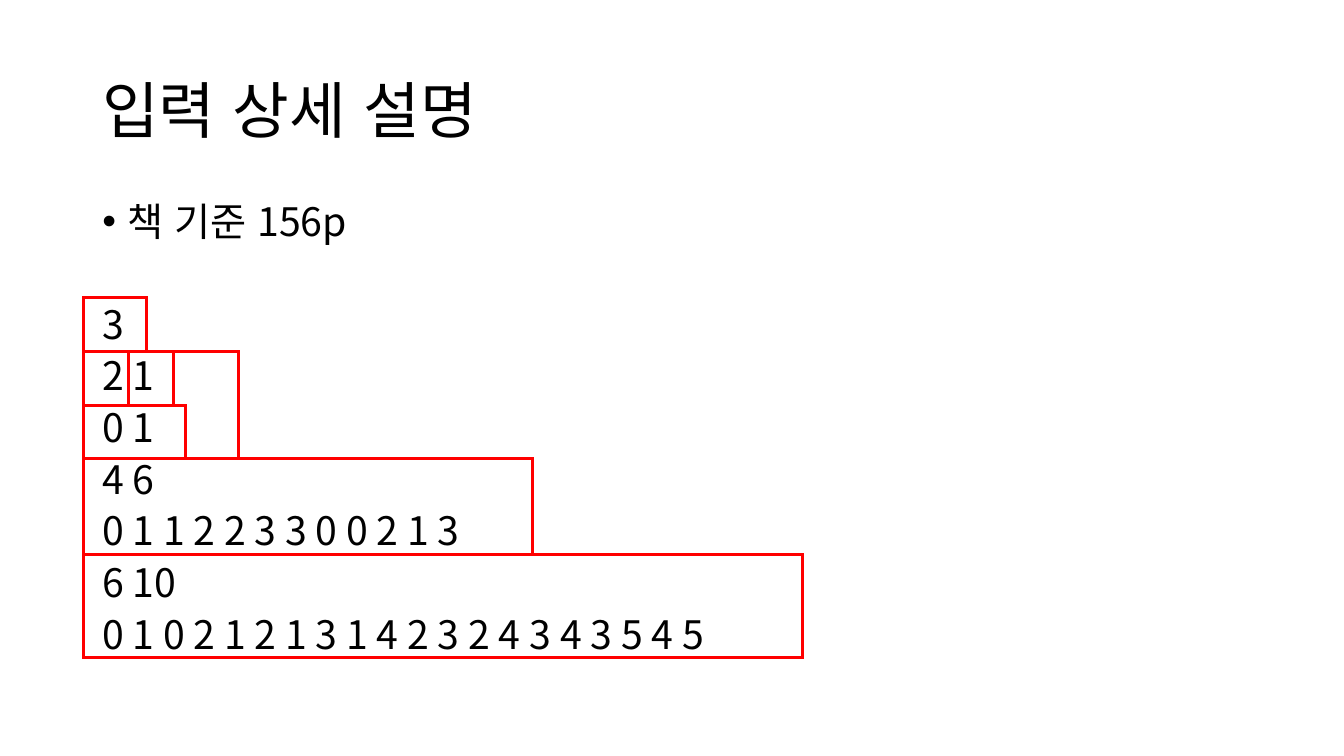
from lxml import etree
from pptx import Presentation
from pptx.dml.color import RGBColor
from pptx.enum.lang import MSO_LANGUAGE_ID
from pptx.enum.shapes import MSO_SHAPE
from pptx.enum.text import MSO_ANCHOR
from pptx.oxml.ns import qn
from pptx.util import Pt

RECT = MSO_SHAPE.RECTANGLE
TOP, MIDDLE = MSO_ANCHOR.TOP, MSO_ANCHOR.MIDDLE
KOREAN = MSO_LANGUAGE_ID.KOREAN

TITLE = "입력 상세 설명"
REFERENCE = "책 기준 156p"
INPUT_LINES = [
    "3",
    "2 1",
    "0 1",
    "4 6",
    "0 1 1 2 2 3 3 0 0 2 1 3",
    "6 10",
    "0 1 0 2 1 2 1 3 1 4 2 3 2 4 3 4 3 5 4 5",
]

THEME = {
    "font": "Noto Sans CJK KR",
    "text": RGBColor(0, 0, 0),
    "mark": RGBColor(255, 0, 0),
    "title": 44,
    "body": 28,
    "line": 2.25,
}

LEFT, WIDTH = 66, 828
LINE_SPACING, GAP, PITCH = 0.8, 10, 36.4
INDENT = 18

ROW_EDGES = [212.4, 251.1, 289.4, 327.6, 396, 469.4]
MARK_LEFT, CELL = 59.4, 32.2
MARKS = [
    (0, 1, 0, 45.4),
    (1, 2, 0, CELL),
    (1, 2, CELL, CELL),
    (2, 3, 0, 73.4),
    (3, 4, 0, 321.1),
    (4, 5, 0, 514.1),
    (1, 3, 0, 110.9),
]


def add_text_box(slide, top, height, anchor):
    sp = slide.shapes.add_textbox(Pt(LEFT), Pt(top), Pt(WIDTH), Pt(height))
    tf = sp.text_frame
    tf.word_wrap = True
    tf.vertical_anchor = anchor
    return tf


def write(p, text, size, **spacing):
    for name, value in spacing.items():
        setattr(p, name, value)
    r = p.add_run()
    r.text = text
    r.font.color.rgb = THEME["text"]
    style = {"name": THEME["font"], "size": Pt(size), "language_id": KOREAN}
    for name, value in style.items():
        setattr(r.font, name, value)
    rPr = r.font._element
    rPr.set("kern", "1200")
    etree.SubElement(rPr, qn("a:ea"), typeface=THEME["font"])


def add_bullet(p):
    pPr = p._p.get_or_add_pPr()
    pPr.set("marL", str(Pt(INDENT)))
    pPr.set("indent", str(-Pt(INDENT)))
    etree.SubElement(pPr, qn("a:buFont"), typeface="Arial")
    etree.SubElement(pPr, qn("a:buChar"), char="•")


def add_mark(slide, first, last, offset, width):
    top, bottom = ROW_EDGES[first], ROW_EDGES[last]
    sp = slide.shapes.add_shape(
        RECT, Pt(MARK_LEFT + offset), Pt(top), Pt(width), Pt(bottom - top))
    sp.shadow.inherit = False
    sp.fill.background()
    sp.line.color.rgb = THEME["mark"]
    sp.line.width = Pt(THEME["line"])
    etree.SubElement(sp.line._get_or_add_ln(), qn("a:miter"), lim="800000")


prs = Presentation()
prs.slide_width, prs.slide_height = Pt(960), Pt(540)
slide = prs.slides.add_slide(prs.slide_layouts[6])

tf = add_text_box(slide, 28.8, 104.4, MIDDLE)
write(tf.paragraphs[0], TITLE, THEME["title"], line_spacing=0.9)

tf = add_text_box(slide, 144, 342.7, TOP)
p = tf.paragraphs[0]
write(p, REFERENCE, THEME["body"], line_spacing=LINE_SPACING)
add_bullet(p)
for i, text in enumerate(INPUT_LINES):
    before = GAP if i else GAP + PITCH
    write(tf.add_paragraph(), text, THEME["body"],
          line_spacing=LINE_SPACING, space_before=Pt(before))

for mark in MARKS:
    add_mark(slide, *mark)

prs.save("out.pptx")
